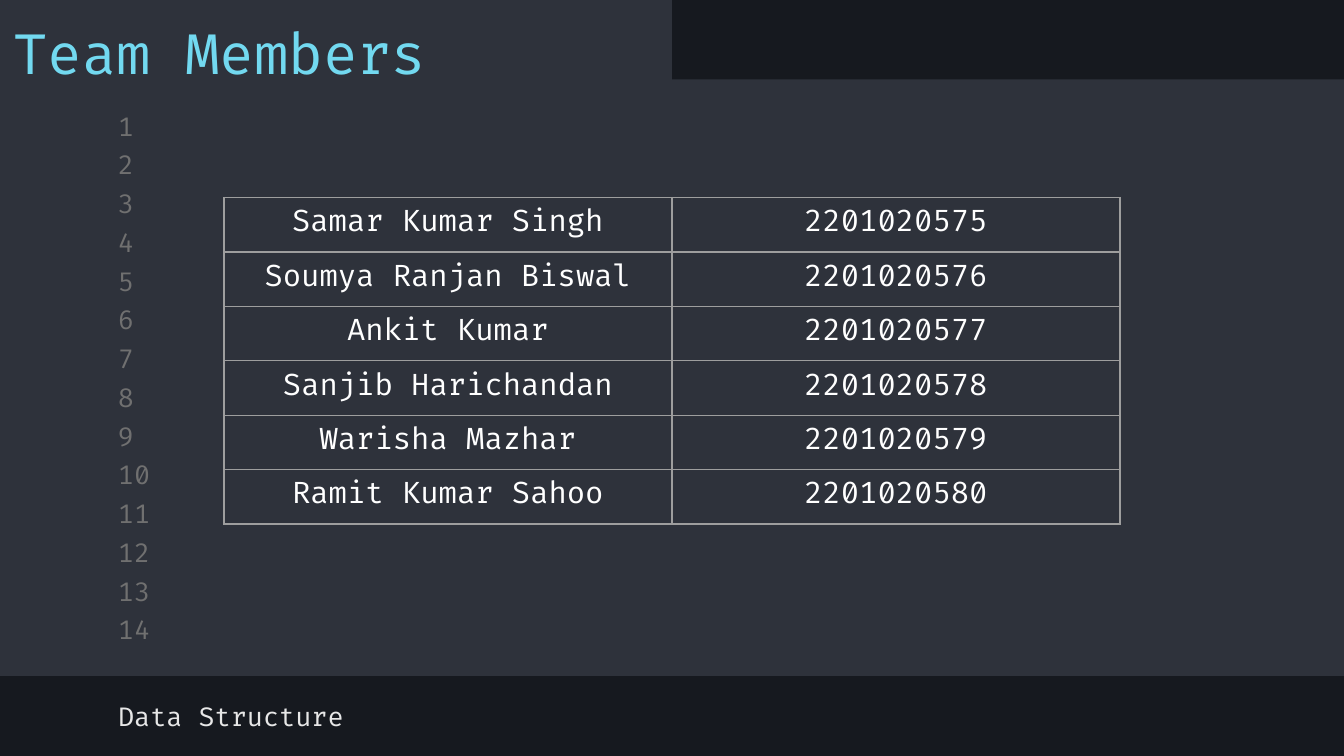
"""Build the team members slide: a code-editor look with a table of names and numbers."""
import lxml.etree
import pptx
import pptx.dml.color
import pptx.enum.shapes
import pptx.enum.text
import pptx.oxml.ns
import pptx.util

TITLE = "Team Members"
SUBJECT = "Data Structure"
MEMBERS = [
    ("Samar Kumar Singh", "2201020575"),
    ("Soumya Ranjan Biswal", "2201020576"),
    ("Ankit Kumar", "2201020577"),
    ("Sanjib Harichandan", "2201020578"),
    ("Warisha Mazhar", "2201020579"),
    ("Ramit Kumar Sahoo", "2201020580"),
]
LINE_COUNT = 14

THEME = {
    "font": "Fira Code",
    "background": "16191F",
    "panel": "2E323B",
    "border": "9E9E9E",
    "border_width": 0.75,
    "title": (30, "72D9F0"),
    "number": (14, "707070"),
    "member": (16, "FFFFFF"),
    "subject": (14, "E7E7E7"),
}

WIDTH, HEIGHT = 10, 5.625
PANELS = [(0, 0.59, WIDTH, 4.44), (0, 0, WIDTH / 2, 0.65)]
GUTTER_LEFT, GUTTER_TOP, LINE_PITCH = 0.78, 0.815, 0.2884
TABLE_WIDTH, TABLE_TOP, ROW_HEIGHT = WIDTH * 2 / 3, 1.47, 0.405


def color(code):
    return pptx.dml.color.RGBColor.from_string(code)


def inches(*lengths):
    return [pptx.util.Inches(length) for length in lengths]


def apply(target, values):
    for key, value in values.items():
        setattr(target, key, value)


def write(paragraph, words, role):
    size, code = THEME[role]
    run = paragraph.add_run()
    run.text = words
    apply(run.font, {"name": THEME["font"], "size": pptx.util.Pt(size), "bold": False})
    run.font.color.rgb = color(code)


def add_label(slide, words, role, place):
    frame = slide.shapes.add_textbox(*inches(*place)).text_frame
    margin = pptx.util.Inches(0.1)
    apply(frame, {
        "word_wrap": True,
        "vertical_anchor": pptx.enum.text.MSO_ANCHOR.MIDDLE,
        "margin_left": margin, "margin_right": margin,
        "margin_top": margin, "margin_bottom": margin,
    })
    write(frame.paragraphs[0], words, role)


def add_panel(slide, place):
    panel = slide.shapes.add_shape(pptx.enum.shapes.MSO_SHAPE.RECTANGLE, *inches(*place))
    panel.shadow.inherit = False
    panel.fill.solid()
    panel.fill.fore_color.rgb = color(THEME["panel"])
    panel.line.fill.background()


def add_borders(cell):
    qn = pptx.oxml.ns.qn
    properties = cell._tc.get_or_add_tcPr()
    for position, side in enumerate(("lnL", "lnR", "lnT", "lnB")):
        edge = lxml.etree.Element(qn(f"a:{side}"), w=str(pptx.util.Pt(THEME["border_width"])))
        fill = lxml.etree.SubElement(edge, qn("a:solidFill"))
        lxml.etree.SubElement(fill, qn("a:srgbClr"), val=THEME["border"])
        properties.insert(position, edge)


def add_members(slide):
    rows, columns = len(MEMBERS), len(MEMBERS[0])
    place = ((WIDTH - TABLE_WIDTH) / 2, TABLE_TOP, TABLE_WIDTH, ROW_HEIGHT * rows)
    table = slide.shapes.add_table(rows, columns, *inches(*place)).table
    apply(table, {"first_row": False, "horz_banding": False})
    for row, member in enumerate(MEMBERS):
        for column, words in enumerate(member):
            cell = table.cell(row, column)
            cell.fill.solid()
            cell.fill.fore_color.rgb = color(THEME["panel"])
            add_borders(cell)
            paragraph = cell.text_frame.paragraphs[0]
            paragraph.alignment = pptx.enum.text.PP_ALIGN.CENTER
            write(paragraph, words, "member")


def main():
    deck = pptx.Presentation()
    apply(deck, dict(zip(("slide_width", "slide_height"), inches(WIDTH, HEIGHT))))
    slide = deck.slides.add_slide(deck.slide_layouts[6])
    slide.background.fill.solid()
    slide.background.fill.fore_color.rgb = color(THEME["background"])
    for place in PANELS:
        add_panel(slide, place)
    for line in range(LINE_COUNT):
        top = GUTTER_TOP + line * LINE_PITCH
        add_label(slide, str(line + 1), "number", (GUTTER_LEFT, top, 0.47, 0.24))
    add_label(slide, TITLE, "title", (0, 0.09, 5.88, 0.59))
    add_members(slide)
    add_label(slide, SUBJECT, "subject", (GUTTER_LEFT, 5.13, 6.18, 0.39))
    deck.save("out.pptx")


if __name__ == "__main__":
    main()
